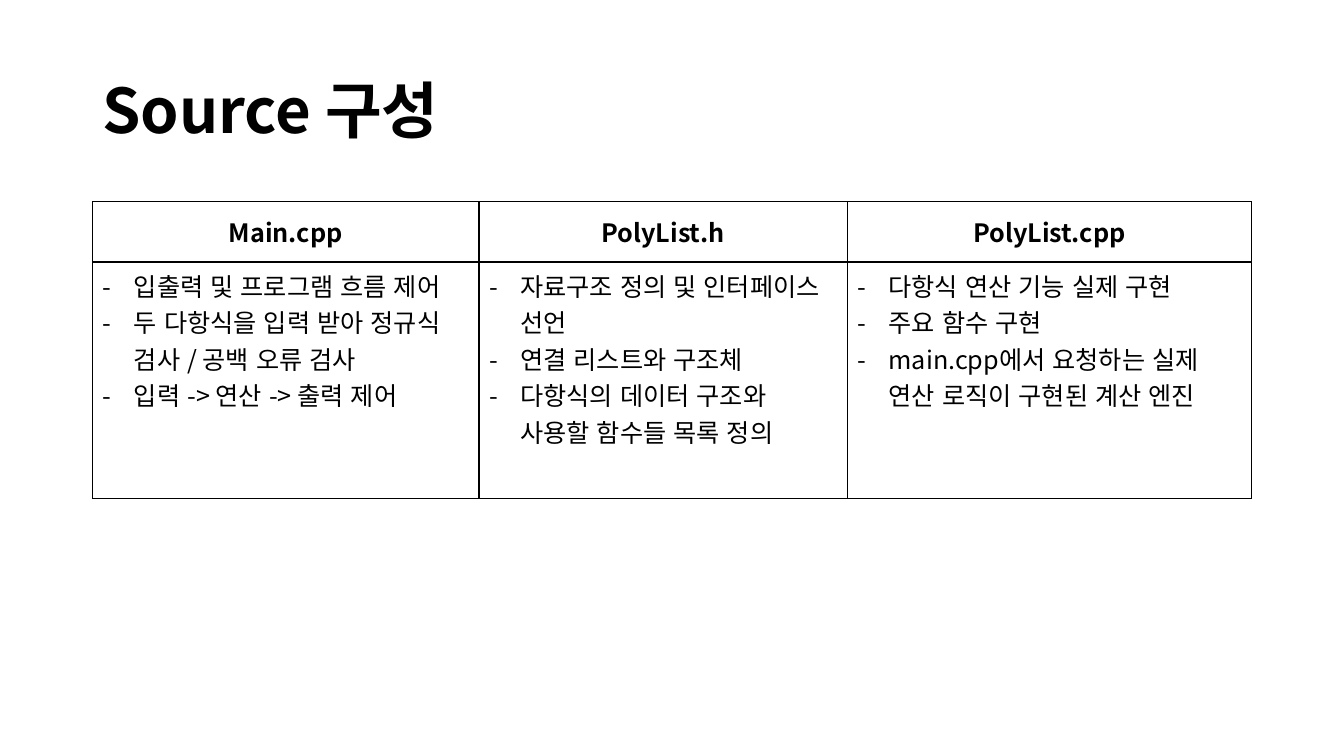
from lxml import etree
from pptx import Presentation
from pptx.dml.color import RGBColor
from pptx.enum.lang import MSO_LANGUAGE_ID
from pptx.enum.text import MSO_ANCHOR, PP_ALIGN
from pptx.oxml.ns import qn
from pptx.util import Cm, Pt

KOREAN = MSO_LANGUAGE_ID.KOREAN
MIDDLE, TOP = MSO_ANCHOR.MIDDLE, MSO_ANCHOR.TOP
LEFT, CENTER = PP_ALIGN.LEFT, PP_ALIGN.CENTER
FONT = "Noto Sans CJK KR"
BLACK = "000000"
INDENT = Cm(0.79)

TITLE = "Source 구성"
TITLE_BOX = (2.33, 1.01, 29.21, 3.68)
TABLE_BOX = (2.33, 5.08, 29.21, 7.49)
COLUMN_WIDTHS = (9.74, 9.28, 10.19)
HEADER_HEIGHT = 1.52
FILES = [
    ("Main.cpp", [
        "입출력 및 프로그램 흐름 제어",
        "두 다항식을 입력 받아 정규식 검사 / 공백 오류 검사",
        "입력 -> 연산 -> 출력 제어",
    ]),
    ("PolyList.h", [
        "자료구조 정의 및 인터페이스 선언",
        "연결 리스트와 구조체",
        "다항식의 데이터 구조와 사용할 함수들 목록 정의",
    ]),
    ("PolyList.cpp", [
        "다항식 연산 기능 실제 구현",
        "주요 함수 구현",
        "main.cpp에서 요청하는 실제 연산 로직이 구현된 계산 엔진",
    ]),
]


def color(value):
    return RGBColor.from_string(value)


def add_span(para, text, size, bold=False):
    span = para.add_run()
    span.text = text
    span.font.size = Pt(size)
    span.font.bold = bold
    span.font.color.rgb = color(BLACK)
    span.font.name = FONT
    span.font.language_id = KOREAN
    properties = span.font._element
    etree.SubElement(properties, qn("a:ea"), typeface=FONT)


def add_dash(para):
    properties = para._p.get_or_add_pPr()
    properties.set("marL", str(INDENT))
    properties.set("indent", str(-INDENT))
    etree.SubElement(properties, qn("a:buFont"), typeface=FONT)
    etree.SubElement(properties, qn("a:buChar"), char="-")


def add_borders(cell):
    properties = cell._tc.get_or_add_tcPr()
    for index, side in enumerate(("lnL", "lnR", "lnT", "lnB")):
        line = etree.Element(qn(f"a:{side}"), w=str(Pt(1)))
        fill = etree.SubElement(line, qn("a:solidFill"))
        etree.SubElement(fill, qn("a:srgbClr"), val=BLACK)
        properties.insert(index, line)


def fill_cell(cell, lines, header):
    cell.fill.background()
    cell.vertical_anchor = MIDDLE if header else TOP
    add_borders(cell)
    frame = cell.text_frame
    for index, text in enumerate(lines):
        para = frame.add_paragraph() if index else frame.paragraphs[0]
        para.alignment = CENTER if header else LEFT
        if not header:
            add_dash(para)
        add_span(para, text, 18, header)


def add_title(page, box):
    frame = page.shapes.add_textbox(*map(Cm, box)).text_frame
    frame.word_wrap = True
    frame.vertical_anchor = MIDDLE
    para = frame.paragraphs[0]
    para.line_spacing = 0.9
    add_span(para, TITLE, 44, True)


def add_file_table(page, box):
    table = page.shapes.add_table(2, len(FILES), *map(Cm, box)).table
    table.first_row = table.horz_banding = False
    table.rows[0].height = Cm(HEADER_HEIGHT)
    table.rows[1].height = Cm(box[3] - HEADER_HEIGHT)
    for index, (name, duties) in enumerate(FILES):
        table.columns[index].width = Cm(COLUMN_WIDTHS[index])
        fill_cell(table.cell(0, index), [name], True)
        fill_cell(table.cell(1, index), duties, False)


def main():
    deck = Presentation()
    deck.slide_width, deck.slide_height = Cm(33.87), Cm(19.05)
    page = deck.slides.add_slide(deck.slide_layouts[6])
    add_title(page, TITLE_BOX)
    add_file_table(page, TABLE_BOX)
    deck.save("out.pptx")


if __name__ == "__main__":
    main()
